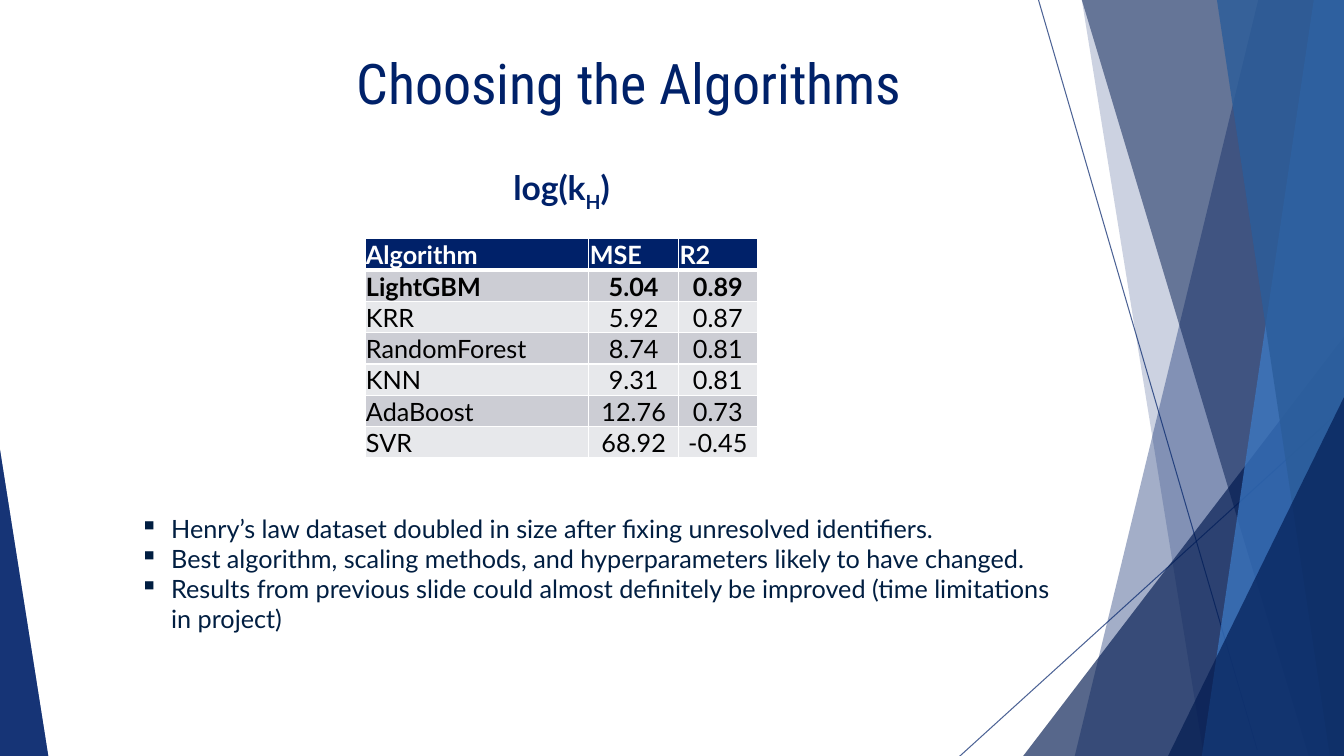
from dataclasses import dataclass

from lxml import etree
from pptx import Presentation
from pptx import util as u
from pptx.dml.color import RGBColor
from pptx.enum import shapes, text
from pptx.oxml import ns


@dataclass(frozen=True)
class Theme:
    navy: str = "002169"
    deep: str = "00194F"
    sky: str = "3D7CC9"
    steel: str = "2B5D9A"
    ink: str = "011E41"
    black: str = "000000"
    white: str = "FFFFFF"
    stripes: tuple[str, str] = ("CCCDD4", "E7E8EB")
    title_font: str = "Roboto Condensed"
    body_font: str = "Lato"
    title_size: int = 40
    heading_size: int = 24
    body_size: int = 18


THEME = Theme()
WIDTH, HEIGHT = 13.33, 7.5


@dataclass(frozen=True)
class Ray:
    start: tuple[float, float]
    end: tuple[float, float]


@dataclass(frozen=True)
class Band:
    """A facet from the right slide edge to a slanting left side."""
    top_x: float
    bottom_x: float
    color: str
    opacity: int


@dataclass(frozen=True)
class Wedge:
    """A right-angled triangle; apex 0 is on the left, 1 on the right."""
    box: tuple[float, float, float, float]
    apex: int
    color: str
    opacity: int


LEFT_WEDGE = Wedge((-0.01, 4.4, 0.49, 3.11), 0, THEME.navy, 70)
RAYS = [Ray((10.3, 0), (12.47, 7.44)), Ray((13.33, 4.04), (9.51, 7.51))]
FACETS = [
    Band(12.48, 10.66, THEME.navy, 36),
    Band(10.73, 11.94, THEME.navy, 20),
    Wedge((10.14, 3.34, 3.19, 4.17), 1, THEME.deep, 66),
    Band(10.73, 12.98, THEME.deep, 50),
    Band(13.03, 11.92, THEME.sky, 70),
    Band(12.07, 13.19, THEME.steel, 80),
    Wedge((11.58, 3.94, 1.75, 3.57), 1, THEME.deep, 66),
    LEFT_WEDGE,
    LEFT_WEDGE,
]
RESULTS = [
    ("Algorithm", "MSE", "R2"),
    ("LightGBM", "5.04", "0.89"),
    ("KRR", "5.92", "0.87"),
    ("RandomForest", "8.74", "0.81"),
    ("KNN", "9.31", "0.81"),
    ("AdaBoost", "12.76", "0.73"),
    ("SVR", "68.92", "-0.45"),
]
COLUMN_WIDTHS = (2.22, 0.89, 0.78)
ROW_HEIGHT = 0.29
REMARKS = [
    "Henry’s law dataset doubled in size after fixing unresolved identifiers.",
    "Best algorithm, scaling methods, and hyperparameters likely to have changed.",
    "Results from previous slide could almost definitely be improved "
    "(time limitations in project)",
]


def inches(*values: float) -> list[u.Length]:
    return [u.Inches(value) for value in values]


def add_child(parent, tag: str, **attributes: str):
    child = etree.SubElement(parent, ns.qn(tag))
    for name, value in attributes.items():
        child.set(name, value)
    return child


def paint(fill, color: str) -> None:
    fill.solid()
    fill.fore_color.rgb = RGBColor.from_string(color)


def set_opacity(element, percent: int) -> None:
    color = next(element.iter(ns.qn("a:srgbClr")))
    add_child(color, "a:alpha", val=str(percent * 1000))


def set_font(paragraph, name: str, size: int, color: str, bold: bool = False) -> None:
    font = paragraph.font
    font.name, font.size, font.bold = name, u.Pt(size), bold
    font.color.rgb = RGBColor.from_string(color)


def draw_ray(slide, ray: Ray) -> None:
    line = slide.shapes.add_connector(
        shapes.MSO_CONNECTOR.STRAIGHT, *inches(*ray.start, *ray.end))
    line.line.width = u.Pt(0.75)
    paint(line.line.fill, THEME.navy)
    properties = line._element.spPr
    set_opacity(properties, 70)
    add_child(properties, "a:effectLst")


def draw_facet(slide, facet: Band | Wedge) -> None:
    if isinstance(facet, Band):
        builder = slide.shapes.build_freeform(*inches(facet.top_x, 0), scale=1.0)
        corners = [(WIDTH, 0), (WIDTH, HEIGHT), (facet.bottom_x, HEIGHT)]
        builder.add_line_segments([inches(*corner) for corner in corners], close=True)
        shape = builder.convert_to_shape()
    else:
        shape = slide.shapes.add_shape(
            shapes.MSO_SHAPE.ISOSCELES_TRIANGLE, *inches(*facet.box))
        shape.adjustments[0] = facet.apex
    shape.shadow.inherit = False
    shape.line.fill.background()
    paint(shape.fill, facet.color)
    set_opacity(shape._element.spPr, facet.opacity)


def add_text_frame(slide, *box: float):
    frame = slide.shapes.add_textbox(*inches(*box)).text_frame
    frame.word_wrap = True
    return frame


def draw_headings(slide) -> None:
    title = add_text_frame(slide, 2.34, 0.43, 7.8, 0.98).paragraphs[0]
    title.text = "Choosing the Algorithms"
    title.alignment = text.PP_ALIGN.CENTER
    set_font(title, THEME.title_font, THEME.title_size, THEME.navy)

    heading = add_text_frame(slide, 3.28, 1.61, 4.58, 0.55).paragraphs[0]
    heading.alignment = text.PP_ALIGN.CENTER
    for part in ("log(k", "H", ")"):
        run = heading.add_run()
        run.text = part
        if part == "H":
            run._r.get_or_add_rPr().set("baseline", "-25000")
    set_font(heading, THEME.body_font, THEME.heading_size, THEME.navy, bold=True)


def set_borders(cell, top: int, bottom: int) -> None:
    properties = cell._tc.get_or_add_tcPr()
    widths = {"a:lnL": 1, "a:lnR": 1, "a:lnT": top, "a:lnB": bottom}
    for tag, width in widths.items():
        border = add_child(properties, tag, w=str(u.Pt(width)))
        add_child(add_child(border, "a:solidFill"), "a:srgbClr", val=THEME.white)


def draw_results(slide) -> None:
    table = slide.shapes.add_table(
        len(RESULTS), len(COLUMN_WIDTHS),
        *inches(3.62, 2.37, sum(COLUMN_WIDTHS), ROW_HEIGHT * len(RESULTS))).table
    for column, width in zip(table.columns, COLUMN_WIDTHS):
        column.width = u.Inches(width)
    for row, values in enumerate(RESULTS):
        table.rows[row].height = u.Inches(ROW_HEIGHT)
        header = row == 0
        for column, value in enumerate(values):
            cell = table.cell(row, column)
            cell.margin_left = cell.margin_right = cell.margin_top = u.Inches(0.01)
            cell.margin_bottom = 0
            cell.vertical_anchor = text.MSO_ANCHOR.BOTTOM
            set_borders(cell, top=3 if row == 1 else 1, bottom=3 if header else 1)
            paint(cell.fill, THEME.navy if header else THEME.stripes[(row - 1) % 2])
            paragraph = cell.text_frame.paragraphs[0]
            paragraph.text = value
            if column and not header:
                paragraph.alignment = text.PP_ALIGN.CENTER
            set_font(paragraph, THEME.body_font, THEME.body_size,
                     THEME.white if header else THEME.black, bold=row < 2)


def draw_remarks(slide) -> None:
    frame = add_text_frame(slide, 1.29, 5.04, 9.27, 1.31)
    frame.auto_size = text.MSO_AUTO_SIZE.SHAPE_TO_FIT_TEXT
    for index, remark in enumerate(REMARKS):
        paragraph = frame.add_paragraph() if index else frame.paragraphs[0]
        paragraph.text = remark
        properties = paragraph._p.get_or_add_pPr()
        indent = u.Inches(0.31)
        properties.set("marL", str(indent))
        properties.set("indent", str(-indent))
        add_child(properties, "a:buChar", char="▪")
        set_font(paragraph, THEME.body_font, THEME.body_size, THEME.ink)


def main() -> None:
    presentation = Presentation()
    presentation.slide_width, presentation.slide_height = inches(WIDTH, HEIGHT)
    slide = presentation.slides.add_slide(presentation.slide_layouts[6])

    # Background facets
    for ray in RAYS:
        draw_ray(slide, ray)
    for facet in FACETS:
        draw_facet(slide, facet)

    # Content
    draw_headings(slide)
    draw_results(slide)
    draw_remarks(slide)
    presentation.save("out.pptx")


if __name__ == "__main__":
    main()
